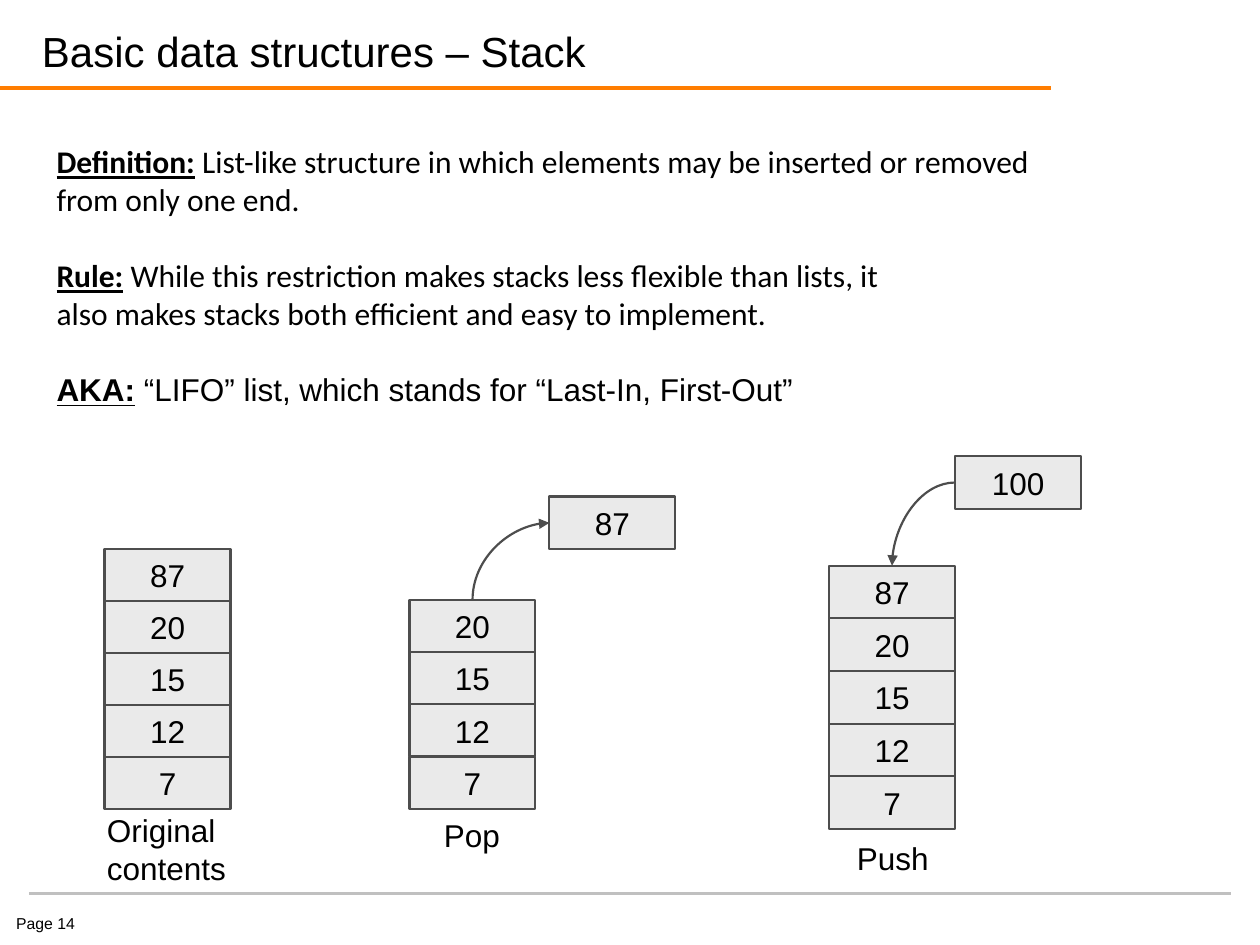
from dataclasses import dataclass

from lxml.etree import SubElement
from pptx import Presentation
from pptx.dml.color import RGBColor as Rgb
from pptx.enum.shapes import MSO_CONNECTOR as Conn, MSO_SHAPE as Shape
from pptx.enum.text import MSO_ANCHOR as Anchor, PP_ALIGN as Align
from pptx.oxml.ns import qn
from pptx.util import Inches, Pt


@dataclass(frozen=True)
class Theme:
    """Colours, fonts and type sizes of the slide."""
    ink: Rgb = Rgb(0x00, 0x00, 0x00)
    rule: Rgb = Rgb(0xFF, 0x7D, 0x00)
    foot: Rgb = Rgb(0xC0, 0xC0, 0xC0)
    fill: Rgb = Rgb(0xEA, 0xEA, 0xEA)
    edge: Rgb = Rgb(0x4D, 0x4D, 0x4D)
    sans: str = "Arial"
    prose: str = "Calibri"
    title: int = 24
    body: int = 18
    small: int = 9
    gap: int = 22
    thin: float = 1.25


@dataclass(frozen=True)
class Box:
    """A region in inches."""
    x: float
    y: float
    w: float
    h: float

    def share(self, x, y, w, h):
        """Return the region at the given shares of this one."""
        return Box(self.x + x * self.w, self.y + y * self.h, w * self.w, h * self.h)

    def rows(self, count):
        """Split the region into equal rows, top to bottom."""
        return [self.share(0, i / count, 1, 1 / count) for i in range(count)]

    def emu(self):
        """Return left, top, width and height as lengths."""
        return [Inches(v) for v in (self.x, self.y, self.w, self.h)]


THEME = Theme()
PAGE = Box(0, 0, 10, 7.5)
CELL = Box(0, 0, 1, 0.42)


def style(para, size, face=THEME.sans, align=Align.LEFT):
    """Set the font and alignment of a paragraph."""
    para.alignment = align
    para.font.size, para.font.name = Pt(size), face
    para.font.color.rgb = THEME.ink


def label(slide, box, text, size=THEME.body, align=Align.LEFT):
    """Add a one-paragraph text box and return its frame."""
    frame = slide.shapes.add_textbox(*box.emu()).text_frame
    frame.word_wrap = True
    frame.text = text
    style(frame.paragraphs[0], size, align=align)
    return frame


def stroke(line, color, width):
    """Colour a connector, set its width and drop its shadow."""
    line.line.color.rgb, line.line.width = color, Pt(width)
    SubElement(line._element.spPr, qn("a:effectLst"))


def rule(slide, box, color, width):
    """Draw a horizontal line along the top of the box."""
    x, y, w, _ = box.emu()
    stroke(slide.shapes.add_connector(Conn.STRAIGHT, x, y, x + w, y), color, width)


def header(slide, box):
    """Place the title above its orange rule."""
    rule(slide, box.share(0, 1, 1, 0), THEME.rule, 2.25)
    frame = label(slide, box.share(0.04, 0.19, 0.96, 0.67),
                  "Basic data structures – Stack", THEME.title)
    frame.vertical_anchor = Anchor.BOTTOM
    frame.margin_left = frame.margin_right = frame.margin_top = frame.margin_bottom = 0


def footer(slide, box):
    """Place the page number below its grey rule."""
    rule(slide, box.share(0.02, 0, 0.96, 0), THEME.foot, 1.5)
    label(slide, box.share(0, 0.27, 0.12, 0.73), "Page 14", THEME.small)


def prose(slide, box):
    """Write the definition, rule and alias paragraphs."""
    rows = [
        ("Definition:", " List-like structure in which elements may be inserted or removed", THEME.prose),
        ("", "from only one end.", THEME.prose),
        ("Rule:", " While this restriction makes stacks less flexible than lists, it", THEME.prose),
        ("", "also makes stacks both efficient and easy to implement.", THEME.prose),
        ("AKA:", " “LIFO” list, which stands for “Last-In, First-Out”", THEME.sans),
    ]
    frame = slide.shapes.add_textbox(*box.emu()).text_frame
    frame.word_wrap = True
    for i, (head, text, face) in enumerate(rows):
        para = frame.add_paragraph() if i else frame.paragraphs[0]
        style(para, THEME.body, face)
        if head:
            para.space_before = Pt(THEME.gap if i else 0)
            run = para.add_run()
            run.text, run.font.bold, run.font.underline = head, True, True
        para.add_run().text = text


def cell(slide, box, value):
    """Draw one stack element and return it."""
    rect = slide.shapes.add_shape(Shape.RECTANGLE, *box.emu())
    rect.shadow.inherit = False
    rect.fill.solid()
    rect.fill.fore_color.rgb = THEME.fill
    rect.line.color.rgb, rect.line.width = THEME.edge, Pt(THEME.thin)
    rect.text_frame.text = str(value)
    rect.text_frame.vertical_anchor = Anchor.MIDDLE
    style(rect.text_frame.paragraphs[0], THEME.body, align=Align.CENTER)
    return rect


def stack(slide, box, values):
    """Fill the box with elements and return the top one."""
    return [cell(slide, row, v) for row, v in zip(box.rows(len(values)), values)][0]


def arrow(slide, start, end, turn=False):
    """Join two (shape, side) ends with a curved arrow, rising first on turn."""
    line = slide.shapes.add_connector(Conn.CURVE, 0, 0, 0, 0)
    line.begin_connect(*start)
    line.end_connect(*end)
    stroke(line, THEME.edge, THEME.thin)
    props = line._element.spPr
    props.find(qn("a:prstGeom")).set("prst", "curvedConnector2")
    SubElement(props.find(qn("a:ln")), qn("a:tailEnd"), type="triangle")
    if turn:
        frame = props.find(qn("a:xfrm"))
        frame.set("rot", "5400000")
        frame.set("flipH", "1")


def first(slide, box):
    """Show the stack before any operation."""
    stack(slide, box, [87, 20, 15, 12, 7])
    label(slide, Box(box.x - 0.08, box.y + box.h - 0.03, 1.33, 0.71), "Original contents")


def pop(slide, box):
    """Show the top element leaving the stack."""
    top = stack(slide, box, [20, 15, 12, 7])
    out = cell(slide, Box(box.x + 1.11, box.y - 0.82, CELL.w, CELL.h), 87)
    arrow(slide, (top, 0), (out, 1), turn=True)
    label(slide, Box(box.x - 0.17, box.y + box.h + 0.01, 1.33, 0.4), "Pop", align=Align.CENTER)


def push(slide, box):
    """Show a new element entering the stack."""
    top = stack(slide, box, [87, 20, 15, 12, 7])
    new = cell(slide, Box(box.x + box.w, box.y - 0.87, CELL.w, CELL.h), 100)
    arrow(slide, (new, 1), (top, 0))
    label(slide, Box(box.x - 0.16, box.y + box.h + 0.03, 1.33, 0.4), "Push", align=Align.CENTER)


def main():
    """Build the slide and save it."""
    deck = Presentation()
    deck.slide_width, deck.slide_height = Inches(PAGE.w), Inches(PAGE.h)
    slide = deck.slides.add_slide(deck.slide_layouts[6])
    header(slide, Box(0, 0, 8.34, 0.7))
    footer(slide, Box(0.03, 7.09, 9.94, 0.41))
    prose(slide, Box(0.35, 1.08, 9.48, 2.22))
    first(slide, Box(0.83, 4.36, CELL.w, 2.06))
    pop(slide, Box(3.25, 4.76, CELL.w, 1.66))
    push(slide, Box(6.58, 4.49, CELL.w, 2.09))
    deck.save("out.pptx")


if __name__ == "__main__":
    main()
